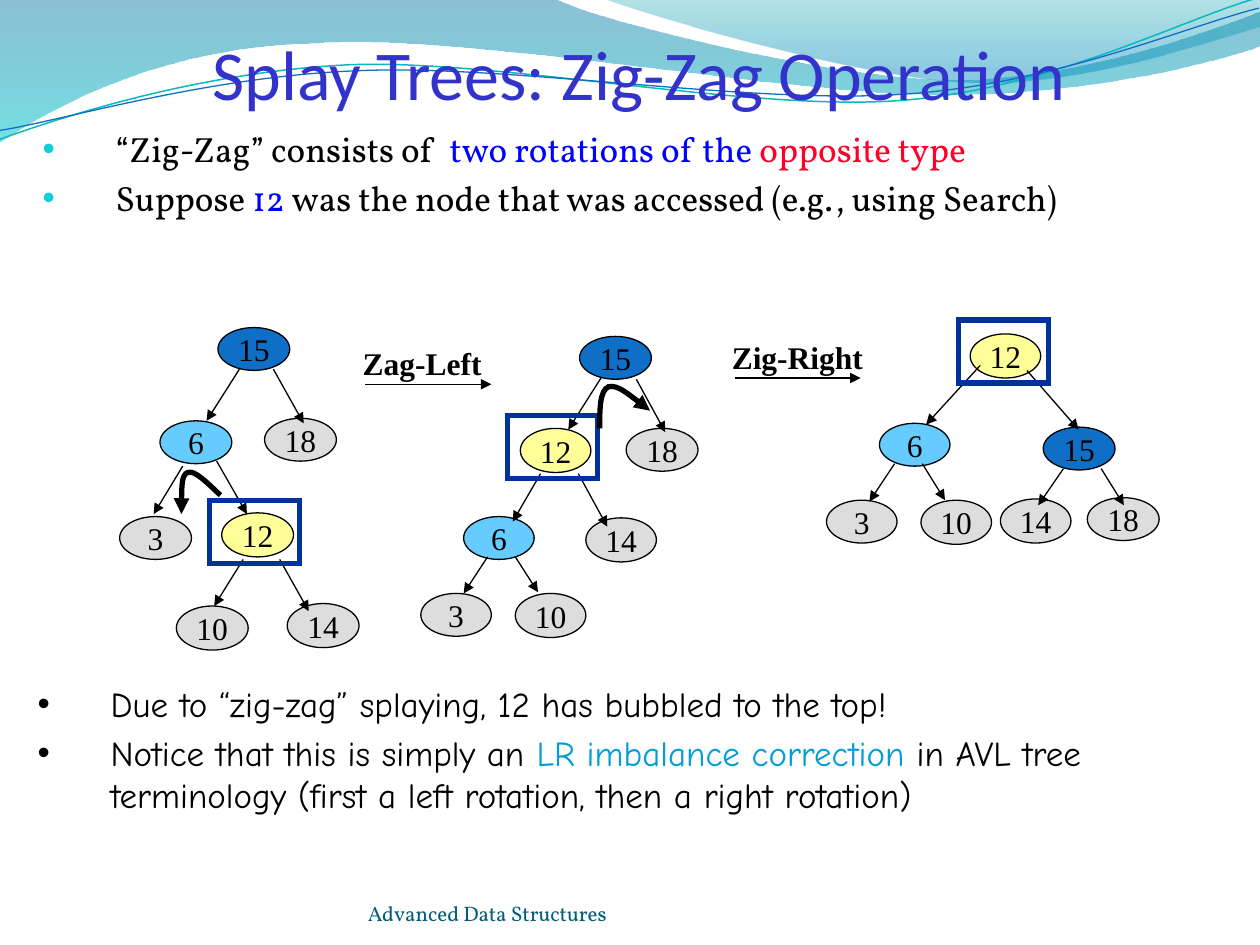
from dataclasses import dataclass

from lxml import etree
from pptx import Presentation
from pptx.dml.color import RGBColor
from pptx.enum.shapes import MSO_CONNECTOR, MSO_SHAPE
from pptx.enum.text import MSO_ANCHOR, PP_ALIGN
from pptx.oxml.ns import qn
from pptx.util import Inches, Pt

OVAL, RECT = MSO_SHAPE.OVAL, MSO_SHAPE.RECTANGLE
STRAIGHT = MSO_CONNECTOR.STRAIGHT
TOP, MIDDLE, BOTTOM = MSO_ANCHOR.TOP, MSO_ANCHOR.MIDDLE, MSO_ANCHOR.BOTTOM
LEFT, CENTER = PP_ALIGN.LEFT, PP_ALIGN.CENTER

COLORS = {
    "black": "000000", "title": "3333CC", "blue": "0000FF", "red": "FD0128",
    "cyan": "009DD9", "bullet": "0BD0D9", "footer": "045D75", "box": "003399",
    "root": "0F6FC6", "six": "66CCFF", "accessed": "FFFF99", "leaf": "DDDDDD",
    "teal": "0AB8BF", "wave_a": "0074A1", "wave_b": "00C6CF",
    "wave_c": "00A1A9", "wave_d": "008BBF",
}
NODE_FILL = {"15": "root", "6": "six", "12": "accessed"}
TALL_NODES = {"10", "12", "14"}
WIDE_NODES = {"15", "18"}
SERIF = "Times New Roman"


@dataclass
class Node:
    label: str
    x: float
    y: float
    edge: tuple[float, ...] = ()  # x1, y1, x2, y2 of the arrow from the parent


@dataclass
class Tree:
    box: tuple[float, float, float, float]
    node_w: float
    nodes: list[Node]


@dataclass
class Step:
    label: str
    x: float
    y: float
    w: float


TREES = [
    Tree((1.66, 3.97, 0.72, 0.5), 0.57, [
        Node("15", 1.73, 2.6),
        Node("6", 1.27, 3.34, (1.9, 2.93, 1.64, 3.34)),
        Node("18", 2.1, 3.32, (2.17, 2.93, 2.41, 3.36)),
        Node("3", 0.95, 4.1, (1.45, 3.7, 1.22, 4.08)),
        Node("12", 1.76, 4.07, (1.72, 3.66, 1.96, 4.08)),
        Node("10", 1.4, 4.81, (1.93, 4.44, 1.7, 4.81)),
        Node("14", 2.28, 4.79, (2.22, 4.44, 2.45, 4.85))]),
    Tree((4.03, 3.3, 0.71, 0.5), 0.56, [
        Node("15", 4.6, 2.67),
        Node("12", 4.13, 3.4, (4.77, 3, 4.51, 3.41)),
        Node("18", 4.97, 3.4, (5.05, 3.01, 5.28, 3.43)),
        Node("6", 3.68, 4.1, (4.29, 3.76, 4.07, 4.14)),
        Node("14", 4.65, 4.11, (4.59, 3.76, 4.82, 4.18)),
        Node("3", 3.34, 4.71, (3.87, 4.42, 3.68, 4.71)),
        Node("10", 4.09, 4.71, (4.09, 4.42, 4.27, 4.7))]),
    Tree((7.61, 2.54, 0.71, 0.5), 0.56, [
        Node("12", 7.7, 2.65),
        Node("6", 6.98, 3.36, (7.78, 2.9, 7.35, 3.37)),
        Node("15", 8.28, 3.39, (8.15, 2.94, 8.56, 3.41)),
        Node("3", 6.56, 3.97, (7.1, 3.68, 6.9, 3.98)),
        Node("10", 7.31, 3.97, (7.32, 3.68, 7.5, 3.97)),
        Node("14", 7.94, 3.96, (8.44, 3.72, 8.24, 4.01)),
        Node("18", 8.63, 3.95, (8.74, 3.72, 8.92, 4.01))]),
]
STEPS = [Step("Zag-Left", 2.78, 2.68, 1.15), Step("Zig-Right", 5.71, 2.63, 1.24)]

# Curves: a start point, then (x, y) line ends or six-number Bezier segments
WAVES = [
    ([(0, 0), (4.4, -0.01), (4.76, 0.17, 6.64, 0.63, 7.58, 0.63),
      (8.53, 0.63, 9.58, 0.26, 10, 0.09), (10.01, 0.36),
      (9.83, 0.44, 8.7, 0.76, 7.46, 0.75), (6.22, 0.75, 3.82, 0.28, 2.57, 0.34),
      (1.29, 0.36, 0.46, 0.83, -0.01, 1.13), (0, 0)],
     [("wave_a", 0, 45), ("wave_b", 1, 55)]),
    ([(4.79, -0.01), (5.09, 0.11, 6.82, 0.62, 7.69, 0.65),
      (8.56, 0.69, 9.61, 0.32, 10, 0.21), (10, 0), (4.79, -0.01)],
     [("wave_c", 0, 30), ("wave_d", 0.8, 45)]),
]
SWASH_TILT = -2.7
SWASHES = [
    ([(-0.02, 0.87), (0.47, 0.72, 1.58, 0.41, 2.78, 0.41),
      (3.96, 0.42, 5.91, 0.93, 7.12, 0.9), (8.32, 0.87, 9.4, 0.36, 10, 0.22)],
     "teal", 0.85),
    ([(-0.02, 0.8), (0.46, 0.75, 1.64, 0.45, 2.83, 0.46),
      (4.03, 0.46, 5.96, 0.88, 7.16, 0.85), (8.35, 0.83, 9.42, 0.42, 10.01, 0.3)],
     "root", 0.75),
]
ROTATIONS = [
    ([(1.44, 4.08), (1.44, 3.93, 1.44, 3.77, 1.49, 3.75),
      (1.55, 3.72, 1.71, 3.9, 1.75, 3.93)], "headEnd"),
    ([(4.76, 3.4), (4.76, 3.25, 4.76, 3.1, 4.83, 3.07),
      (4.9, 3.05, 5.11, 3.22, 5.16, 3.26)], "tailEnd"),
]


def rgb(name: str) -> RGBColor:
    return RGBColor.from_string(COLORS[name])


def set_line(s, color: str, width: float, arrow: str = "") -> None:
    s.line.color.rgb = rgb(color)
    s.line.width = Pt(width)
    ln = s.line._get_or_add_ln()
    etree.SubElement(ln, qn("a:miter"), lim="800000")
    if arrow:
        etree.SubElement(ln, qn(f"a:{arrow}"), type="triangle")


def add_curve(shapes, segments, close: bool = False):
    """Lay out every point as a line, then join each three into a Bezier."""
    pts = [(Inches(seg[i]), Inches(seg[i + 1]))
           for seg in segments for i in range(0, len(seg), 2)]
    fb = shapes.build_freeform(*pts[0])
    fb.add_line_segments(pts[1:], close=close)
    s = fb.convert_to_shape()
    lines = iter(list(s._element.iter(qn("a:lnTo"))))
    for seg in segments[1:]:
        first = next(lines)
        if len(seg) == 6:
            first.tag = qn("a:cubicBezTo")
            for extra in (next(lines), next(lines)):
                first.append(extra[0])
                extra.getparent().remove(extra)
    s.shadow.inherit = False
    s.fill.background()
    return s


def add_wave(shapes, segments, stops) -> None:
    s = add_curve(shapes, segments, close=True)
    s.line.fill.background()
    s.fill.gradient()
    s.fill.gradient_angle = 270
    for stop, (color, pos, alpha) in zip(s.fill.gradient_stops, stops):
        stop.color.rgb = rgb(color)
        stop.position = pos
        clr = stop._gs.find(qn("a:srgbClr"))
        etree.SubElement(clr, qn("a:alpha"), val=str(alpha * 1000))


def add_shape(shapes, kind, x: float, y: float, w: float, h: float):
    s = shapes.add_shape(kind, Inches(x), Inches(y), Inches(w), Inches(h))
    s.shadow.inherit = False
    s.fill.background()
    return s


def add_arrow(shapes, x1: float, y1: float, x2: float, y2: float) -> None:
    s = shapes.add_connector(STRAIGHT, Inches(x1), Inches(y1), Inches(x2), Inches(y2))
    set_line(s, "black", 0.75, arrow="tailEnd")
    etree.SubElement(s._element.spPr, qn("a:effectLst"))


def write(tf, paragraphs, *, font, size, bold=False, align=LEFT, anchor=TOP,
          wrap=True, insets=None, bullet=None) -> None:
    """Each paragraph is a list of (text, color) runs."""
    tf.word_wrap, tf.vertical_anchor = wrap, anchor
    if insets:
        tf.margin_left, tf.margin_top, tf.margin_right, tf.margin_bottom = map(Inches, insets)
    for i, runs in enumerate(paragraphs):
        p = tf.add_paragraph() if i else tf.paragraphs[0]
        p.alignment = align
        if bullet:
            p.space_before = Pt(size * 0.2)
            pPr = p._p.get_or_add_pPr()
            pPr.set("marL", str(Inches(0.58)))
            pPr.set("indent", str(-Inches(0.58)))
            clr = etree.SubElement(pPr, qn("a:buClr"))
            etree.SubElement(clr, qn("a:srgbClr"), val=COLORS[bullet])
            etree.SubElement(pPr, qn("a:buFont"), typeface="Arial")
            etree.SubElement(pPr, qn("a:buChar"), char="•")
        for text, color in runs:
            r = p.add_run()
            r.text = text
            r.font.name, r.font.size, r.font.bold = font, Pt(size), bold
            r.font.color.rgb = rgb(color)


def add_text(shapes, x: float, y: float, w: float, h: float, paragraphs, **fmt) -> None:
    s = shapes.add_textbox(Inches(x), Inches(y), Inches(w), Inches(h))
    write(s.text_frame, paragraphs, **fmt)


def add_tree(shapes, tree: Tree) -> None:
    for n in tree.nodes:
        w = 0.57 if n.label in WIDE_NODES else tree.node_w
        h = 0.35 if n.label in TALL_NODES else 0.34
        s = add_shape(shapes, OVAL, n.x, n.y, w, h)
        s.fill.solid()
        s.fill.fore_color.rgb = rgb(NODE_FILL.get(n.label, "leaf"))
        set_line(s, "black", 0.75)
        write(s.text_frame, [[(n.label, "black")]], font=SERIF, size=18,
              align=CENTER, anchor=MIDDLE, wrap=False)
    for n in tree.nodes:
        if n.edge:
            add_arrow(shapes, *n.edge)
    set_line(add_shape(shapes, RECT, *tree.box), "box", 3)


def main() -> None:
    prs = Presentation()
    prs.slide_width, prs.slide_height = Inches(10), Inches(7.5)
    shapes = prs.slides.add_slide(prs.slide_layouts[6]).shapes

    # Wave banner
    for segments, stops in WAVES:
        add_wave(shapes, segments, stops)
    for segments, color, width in SWASHES:
        s = add_curve(shapes, segments)
        s.rotation = SWASH_TILT
        set_line(s, color, width)

    # Title and bullets
    add_text(shapes, 0.3, 0.15, 9.54, 0.76, [[("Splay Trees: Zig-Zag Operation", "title")]],
             font="Calibri", size=40, align=CENTER, anchor=BOTTOM, insets=(0, 0.05, 0, 0))
    add_text(shapes, 0.24, 0.96, 9.37, 1.19, [
        [("“Zig-Zag” consists of  ", "black"), ("two rotations of the ", "blue"),
         ("opposite type", "red")],
        [("Suppose ", "black"), ("12 ", "blue"),
         ("was the node that was accessed (e.g., using Search)", "black")],
    ], font="Vollkorn", size=20, bullet="bullet")
    add_text(shapes, 0.2, 5.37, 9.46, 1.48, [
        [("Due to “zig-zag” splaying, 12 has bubbled to the top!", "black")],
        [("Notice that this is simply an ", "black"), ("LR imbalance correction", "cyan"),
         (" in AVL tree terminology (first a left rotation, then a right rotation)", "black")],
    ], font="Comic Neue", size=20, bullet="black")

    # Trees, rotation arrows and steps between them
    for tree in TREES:
        add_tree(shapes, tree)
    for segments, arrow in ROTATIONS:
        set_line(add_curve(shapes, segments), "black", 3, arrow=arrow)
    for step in STEPS:
        add_arrow(shapes, step.x + 0.12, step.y + 0.37, step.x + 1.12, step.y + 0.37)
        add_text(shapes, step.x, step.y, step.w, 0.4, [[(step.label, "black")]],
                 font=SERIF, size=18, bold=True, wrap=False)

    # Footer
    add_text(shapes, 2.92, 6.95, 3.67, 0.4, [[("Advanced Data Structures", "footer")]],
             font="Vollkorn", size=12, anchor=BOTTOM, insets=(0, 0, 0, 0))
    prs.save("out.pptx")


if __name__ == "__main__":
    main()
